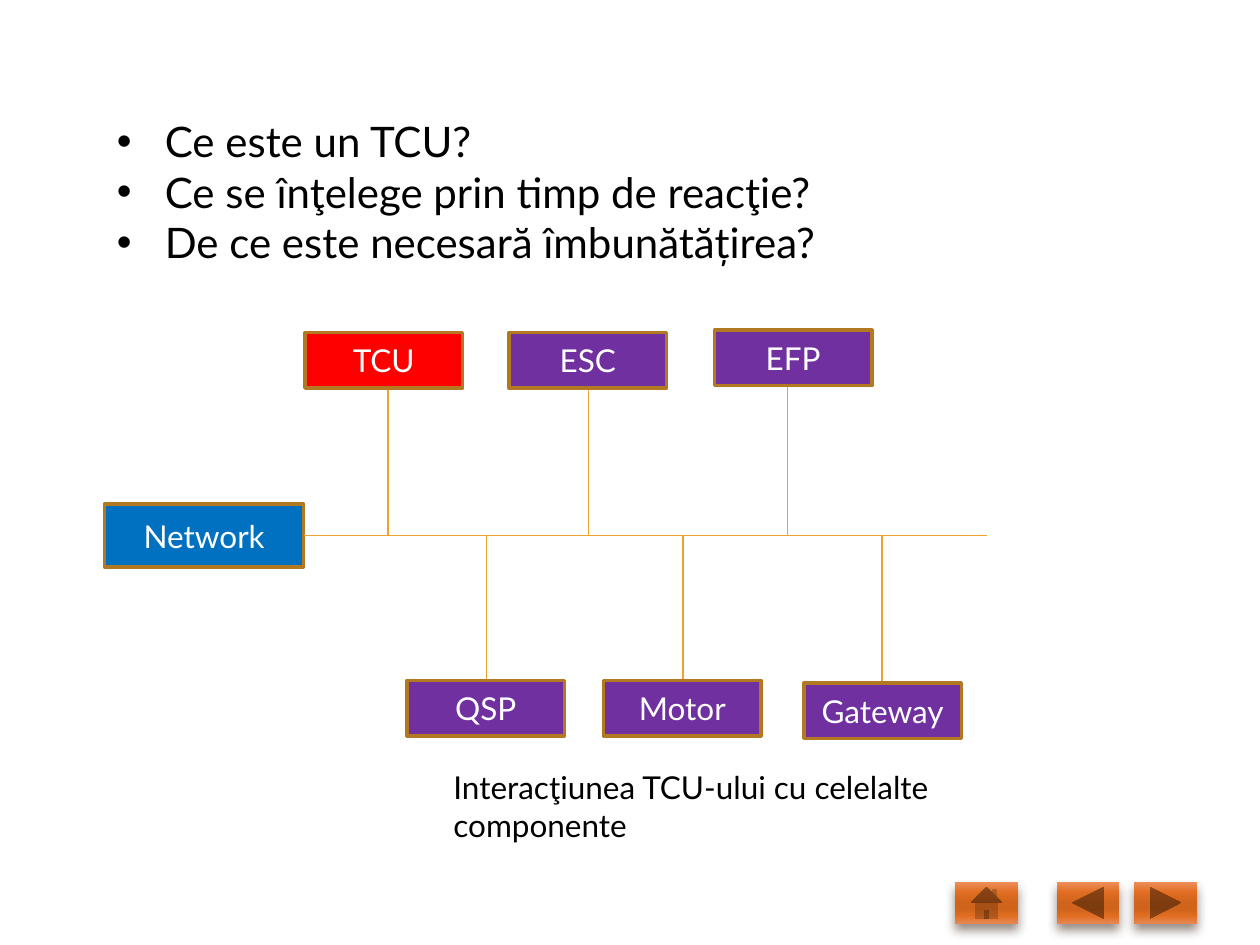
from dataclasses import dataclass

from lxml.etree import SubElement
from pptx import Presentation
from pptx.dml.color import RGBColor
from pptx.enum.shapes import MSO_CONNECTOR, MSO_SHAPE as SHAPE
from pptx.enum.text import MSO_ANCHOR, PP_ALIGN
from pptx.oxml.ns import qn
from pptx.util import Inches, Pt


@dataclass(frozen=True)
class Theme:
    font: str = "Lato"
    question_size: int = 24
    label_size: int = 18
    text: str = "000000"
    label: str = "FFFFFF"
    network: str = "0070C0"
    highlight: str = "FF0000"
    component: str = "7030A0"
    border: str = "B27822"
    wire: str = "F0A22E"
    shadow: str = "4E3B30"
    button: tuple = ((0, "EE8F5B"), (25, "E06D21"), (50, "D0641C"),
                     (65, "D0641C"), (80, "DE6C20"), (100, "E88852"))


THEME = Theme()
QUESTIONS = ("Ce este un TCU?", "Ce se înţelege prin timp de reacţie?",
             "De ce este necesară îmbunătățirea?")
CAPTION = "Interacţiunea TCU-ului cu celelalte componente"
# Label, box left, box top, wire position: relative to the diagram
COMPONENTS = (
    ("TCU", 1.59, 0.02, 2.25), ("ESC", 3.21, 0.02, 3.84),
    ("EFP", 4.84, 0, 5.42), ("QSP", 2.4, 2.78, 3.03),
    ("Motor", 3.96, 2.78, 4.59), ("Gateway", 5.55, 2.8, 6.17),
)
# Shape, left, width: relative to the button row
BUTTONS = (
    (SHAPE.ACTION_BUTTON_HOME, 0, 0.5),
    (SHAPE.ACTION_BUTTON_BACK_OR_PREVIOUS, 0.81, 0.49),
    (SHAPE.ACTION_BUTTON_FORWARD_OR_NEXT, 1.42, 0.5),
)


def inches(*lengths):
    return [Inches(length) for length in lengths]


def style_text(paragraph, size, color):
    for run in paragraph.runs:
        run.font.name = THEME.font
        run.font.size = Pt(size)
        run.font.color.rgb = RGBColor.from_string(color)


def add_text(slide, box, lines, size, bulleted=False):
    frame = slide.shapes.add_textbox(*inches(*box)).text_frame
    frame.word_wrap = True
    frame.text = "\n".join(lines)
    for paragraph in frame.paragraphs:
        if bulleted:
            indent = Inches(0.38)
            properties = paragraph._p.get_or_add_pPr()
            properties.set("marL", str(indent))
            properties.set("indent", str(-indent))
            SubElement(properties, qn("a:buFont"), typeface="Arial")
            SubElement(properties, qn("a:buChar"), char="•")
        style_text(paragraph, size, THEME.text)


def add_node(slide, box, label, color):
    node = slide.shapes.add_shape(SHAPE.RECTANGLE, *inches(*box))
    node.shadow.inherit = False
    node.fill.solid()
    node.fill.fore_color.rgb = RGBColor.from_string(color)
    node.line.color.rgb = RGBColor.from_string(THEME.border)
    node.line.width = Pt(2)
    frame = node.text_frame
    frame.text = label
    frame.vertical_anchor = MSO_ANCHOR.MIDDLE
    frame.paragraphs[0].alignment = PP_ALIGN.CENTER
    style_text(frame.paragraphs[0], THEME.label_size, THEME.label)


def add_wire(slide, *ends):
    wire = slide.shapes.add_connector(MSO_CONNECTOR.STRAIGHT, *inches(*ends))
    wire.line.color.rgb = RGBColor.from_string(THEME.wire)
    wire.line.width = Pt(0.79)
    SubElement(wire._element.spPr, qn("a:effectLst"))


def add_network(slide, left, top, width, height):
    """Draw the bus across the middle with components above and below it."""
    bus_y = top + height / 2 + 0.02
    hub_width, hub_height = 1.58, 0.5
    node_width, node_height = 1.25, 0.44
    add_node(slide, (left, bus_y - hub_height / 2, hub_width, hub_height),
             "Network", THEME.network)
    add_wire(slide, left + hub_width, bus_y, left + width, bus_y)
    for label, node_left, node_top, wire_x in COMPONENTS:
        node_y = top + node_top
        near_edge = node_y + node_height if node_y < bus_y else node_y
        add_wire(slide, left + wire_x, bus_y, left + wire_x, near_edge)
        add_node(slide, (left + node_left, node_y, node_width, node_height),
                 label, THEME.highlight if label == "TCU" else THEME.component)


def style_button(button):
    button.fill.gradient()
    button.fill.gradient_angle = 270
    button.line.fill.background()
    button.shadow.inherit = False
    properties = button._element.spPr
    stops = properties.find(f"{qn('a:gradFill')}/{qn('a:gsLst')}")
    for stop in list(stops):
        stops.remove(stop)
    for position, color in THEME.button:
        stop = SubElement(stops, qn("a:gs"), pos=str(position * 1000))
        SubElement(stop, qn("a:srgbClr"), val=color)
    shadow = SubElement(
        properties.find(qn("a:effectLst")), qn("a:outerShdw"),
        blurRad=str(Pt(6)), dist=str(Pt(4)), dir="5400000", rotWithShape="0")
    tint = SubElement(shadow, qn("a:srgbClr"), val=THEME.shadow)
    SubElement(tint, qn("a:alpha"), val="60000")


def add_navigation(slide, left, top, height):
    for kind, offset, width in BUTTONS:
        button = slide.shapes.add_shape(
            kind, *inches(left + offset, top, width, height))
        style_button(button)


def main():
    deck = Presentation()
    deck.slide_width, deck.slide_height = inches(10, 7.5)
    slide = deck.slides.add_slide(deck.slide_layouts[6])
    add_text(slide, (0.83, 0.87, 6.42, 1.72), QUESTIONS,
             THEME.question_size, bulleted=True)
    add_network(slide, 0.83, 2.62, 7, 3.22)
    add_text(slide, (3.5, 6.05, 5.25, 0.4), [CAPTION], THEME.label_size)
    add_navigation(slide, 7.58, 7, 0.33)
    deck.save("out.pptx")


if __name__ == "__main__":
    main()
